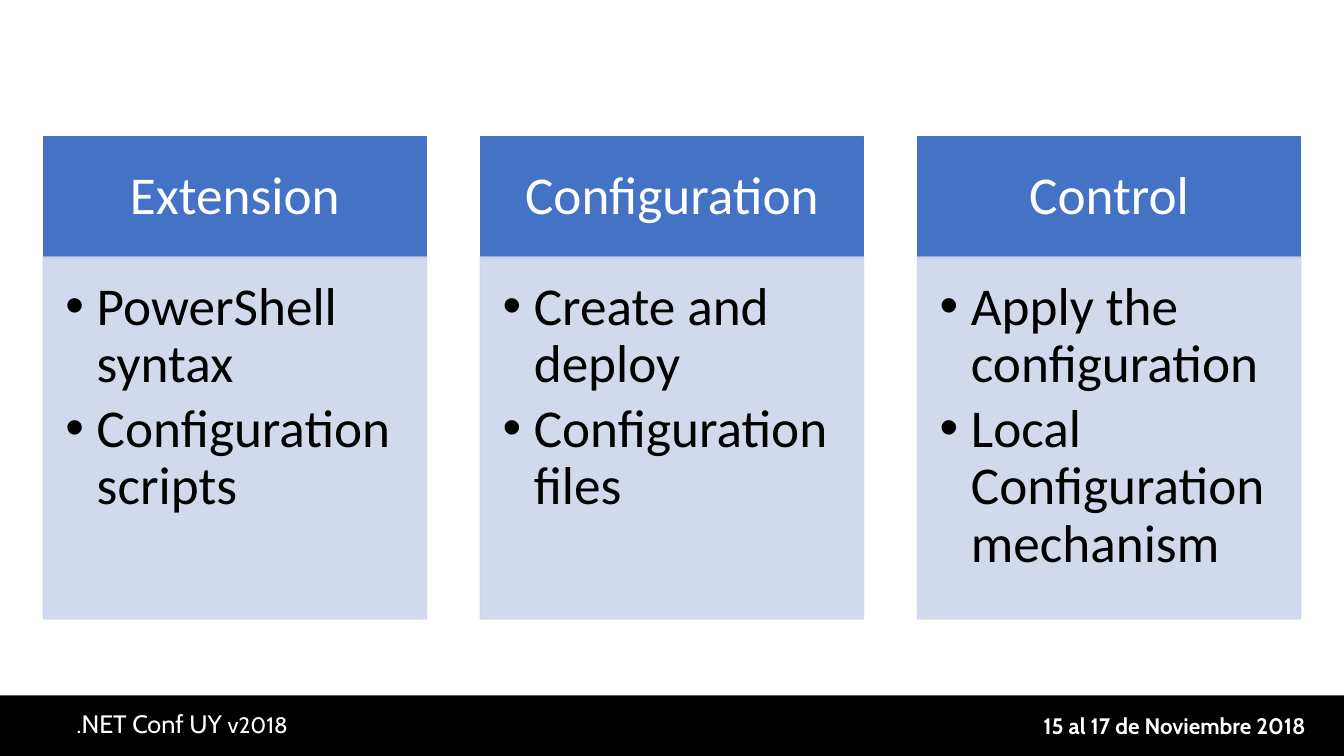
"""Build a slide with three titled columns above a conference footer."""
from typing import NamedTuple

from lxml.etree import SubElement
from pptx import Presentation
from pptx.dml.color import RGBColor
from pptx.enum.shapes import MSO_SHAPE
from pptx.enum.text import MSO_ANCHOR, PP_ALIGN
from pptx.oxml.ns import qn
from pptx.util import Pt

EMU_PER_PX = 9144
COLORS = {"white": "FFFFFF", "black": "000000", "blue": "4472C4", "pale": "CFD5EA"}
LEFT, PITCH, WIDTH = 43, 433.5, 380
HEAD_TOP, HEAD_H, BODY_TOP, BODY_H = 136, 120, 255, 359
INDENT = 31


class Column(NamedTuple):
    title: str
    points: list[str]


class Run(NamedTuple):
    text: str
    size: int


COLUMNS = [
    Column("Extension", ["PowerShell syntax", "Configuration scripts"]),
    Column("Configuration", ["Create and deploy", "Configuration files"]),
    Column("Control", ["Apply the configuration", "Local Configuration mechanism"]),
]


def px(n: float) -> int:
    return round(n * EMU_PER_PX)


def rgb(name: str) -> RGBColor:
    return RGBColor.from_string(COLORS[name])


def add_rect(shapes, x: float, y: float, w: float, h: float, color: str,
             alpha: int = 100, outline: bool = True):
    sp = shapes.add_shape(MSO_SHAPE.RECTANGLE, px(x), px(y), px(w), px(h))
    sp.shadow.inherit = False
    sp.fill.solid()
    sp.fill.fore_color.rgb = rgb(color)
    if outline:
        sp.line.color.rgb = rgb(color)
        sp.line.width = Pt(1)
    else:
        sp.line.fill.background()
    if alpha < 100:
        for clr in sp._element.spPr.iter(qn("a:srgbClr")):
            SubElement(clr, qn("a:alpha"), val=str(alpha * 1000))
    return sp


def write(tf, paragraphs: list[list[Run]], *, font: str, color: str,
          align=PP_ALIGN.LEFT, anchor=MSO_ANCHOR.TOP, bold: bool = False,
          insets=(10, 5, 10, 5), line: float = 1.0, after: int = 0,
          bullet: bool = False) -> None:
    tf.word_wrap = True
    tf.vertical_anchor = anchor
    tf.margin_left, tf.margin_top, tf.margin_right, tf.margin_bottom = map(px, insets)
    for i, runs in enumerate(paragraphs):
        p = tf.paragraphs[0] if i == 0 else tf.add_paragraph()
        p.alignment = align
        p.line_spacing = line
        p.space_after = Pt(after)
        if bullet:
            p.level = 1
            pPr = p._p.get_or_add_pPr()
            pPr.set("marL", str(px(INDENT)))
            pPr.set("indent", str(px(-INDENT)))
            SubElement(pPr, qn("a:buFont"), typeface="Arial")
            SubElement(pPr, qn("a:buChar"), char="•")
        for run in runs:
            r = p.add_run()
            r.text = run.text
            r.font.name = font
            r.font.size = Pt(run.size)
            r.font.bold = bold
            r.font.color.rgb = rgb(color)


def draw_footer(shapes) -> None:
    add_rect(shapes, 0, 690, 1333, 60, "black", outline=False)
    date = shapes.add_textbox(px(1000), px(702), px(305), px(37))
    write(date.text_frame, [[Run("15 al 17 de Noviembre 2018", 16)]], font="Cabin",
          color="white", align=PP_ALIGN.RIGHT, bold=True)
    name = shapes.add_textbox(px(66), px(698), px(330), px(40))
    write(name.text_frame, [[Run(".NET Conf UY ", 18), Run("v2018", 16)]],
          font="Cabin", color="white")


def draw_column(shapes, x: float, column: Column) -> None:
    head = add_rect(shapes, x, HEAD_TOP, WIDTH, HEAD_H, "blue")
    write(head.text_frame, [[Run(column.title, 38)]], font="Calibri", color="white",
          align=PP_ALIGN.CENTER, anchor=MSO_ANCHOR.MIDDLE,
          insets=(30, 17, 30, 17), line=0.9)
    body = add_rect(shapes, x, BODY_TOP, WIDTH, BODY_H, "pale", alpha=90)
    write(body.text_frame, [[Run(point, 38)] for point in column.points],
          font="Calibri", color="black", insets=(22, 22, 30, 33),
          line=0.9, after=5, bullet=True)


def main() -> None:
    prs = Presentation()
    prs.slide_width, prs.slide_height = px(1333), px(750)
    shapes = prs.slides.add_slide(prs.slide_layouts[6]).shapes
    draw_footer(shapes)
    for i, column in enumerate(COLUMNS):
        draw_column(shapes, LEFT + i * PITCH, column)
    prs.save("out.pptx")


if __name__ == "__main__":
    main()
